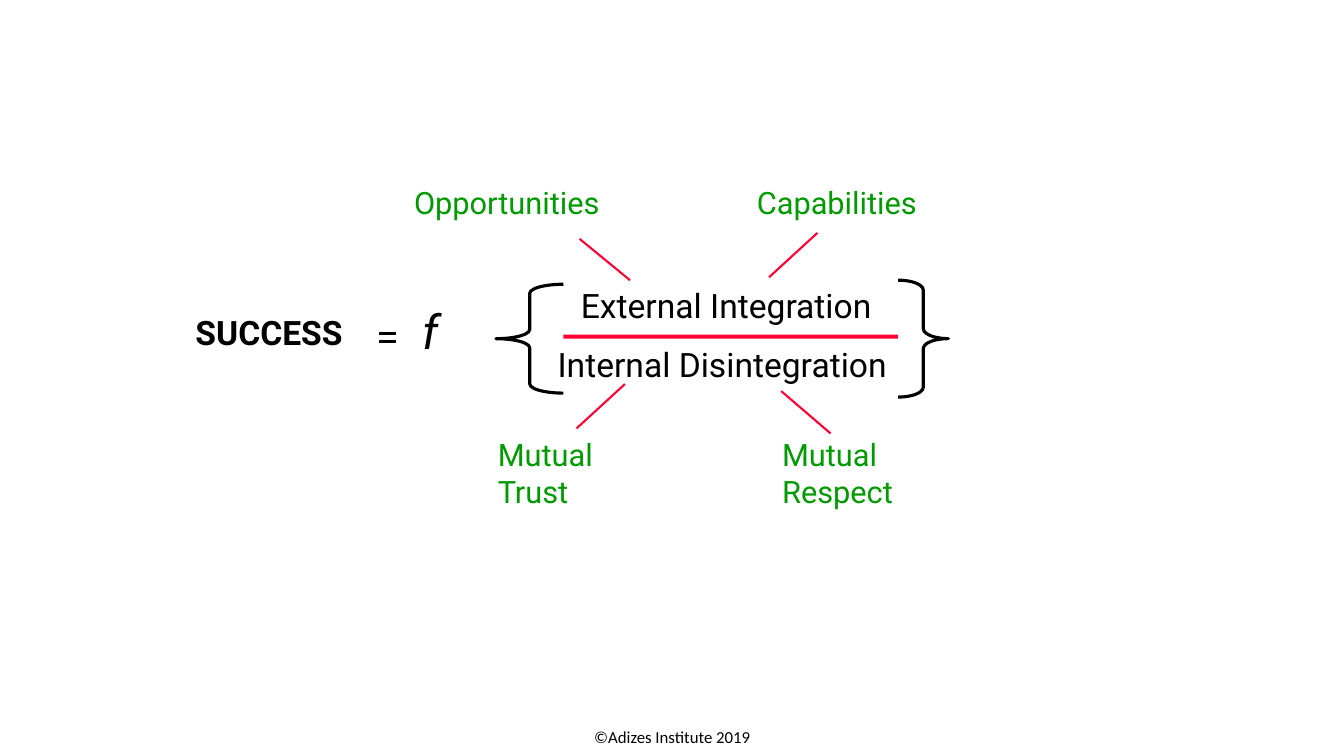
from dataclasses import dataclass

from lxml.etree import SubElement
from pptx import Presentation
from pptx.dml.color import RGBColor
from pptx.enum.shapes import MSO_CONNECTOR as Connector, MSO_SHAPE as Shape
from pptx.enum.text import MSO_ANCHOR as Anchor, PP_ALIGN as Align
from pptx.oxml.ns import qn
from pptx.util import Inches, Pt


@dataclass(frozen=True)
class Theme:
    black: RGBColor = RGBColor(0, 0, 0)
    red: RGBColor = RGBColor(0xFF, 0, 0x33)
    green: RGBColor = RGBColor(0, 0x99, 0)
    font: str = "Roboto"
    footer_font: str = "Calibri"
    footer_size: int = 12
    factor_size: int = 22
    term_size: int = 24
    function_size: int = 34
    symbol_line: float = 2.25
    pointer_line: float = 1.5


THEME = Theme()
WIDTH, HEIGHT = Inches(13.33), Inches(7.5)
COLUMNS, ROWS = 40, 30
LABEL_ROWS = 2.64


def column(count):
    return round(WIDTH * count / COLUMNS)


def row(count):
    return round(HEIGHT * count / ROWS)


def grid_box(left, top, width, height):
    return column(left), row(top), column(width), row(height)


def add_label(slide, text, box, size, color=THEME.black, align=Align.LEFT,
              anchor=Anchor.MIDDLE, margin=0.1, spacing=1.0, **font_format):
    frame = slide.shapes.add_textbox(*grid_box(*box)).text_frame
    frame_format = {
        "word_wrap": True, "vertical_anchor": anchor,
        "margin_left": Inches(margin), "margin_right": Inches(margin),
        "margin_top": Inches(margin / 2), "margin_bottom": Inches(margin / 2),
    }
    for name, value in frame_format.items():
        setattr(frame, name, value)
    paragraph = frame.paragraphs[0]
    paragraph.alignment, paragraph.line_spacing = align, spacing
    run = paragraph.add_run()
    run.text = text
    for name, value in ({"name": THEME.font, "size": Pt(size)} | font_format).items():
        setattr(run.font, name, value)
    run.font.color.rgb = color


def add_stroke(slide, start, end, color, weight):
    line = slide.shapes.add_connector(
        Connector.STRAIGHT, column(start[0]), row(start[1]), column(end[0]), row(end[1]))
    line.line.color.rgb, line.line.width = color, Pt(weight)
    SubElement(line._element.spPr, qn("a:effectLst"))


def add_brace(slide, kind, box, curl):
    brace = slide.shapes.add_shape(kind, *grid_box(*box))
    brace.shadow.inherit = False
    brace.fill.background()
    brace.line.color.rgb, brace.line.width = THEME.black, Pt(THEME.symbol_line)
    brace.adjustments[0] = curl


def add_fraction_bar(slide, box):
    bar = slide.shapes.add_shape(Shape.RECTANGLE, *grid_box(*box))
    bar.shadow.inherit = False
    bar.fill.solid()
    bar.fill.fore_color.rgb = THEME.red
    bar.line.fill.background()


def add_factor(slide, text, left, top, width, start, end):
    """Green label with the red pointer that ties it to the fraction."""
    add_label(slide, text, (left, top, width, LABEL_ROWS), THEME.factor_size, THEME.green)
    add_stroke(slide, start, end, THEME.red, THEME.pointer_line)


def main():
    presentation = Presentation()
    presentation.slide_width, presentation.slide_height = WIDTH, HEIGHT
    slide = presentation.slides.add_slide(presentation.slide_layouts[6])

    add_label(slide, "©Adizes Institute 2019", (13.35, 28.72, 13.32, 1.2),
              THEME.footer_size, align=Align.CENTER, anchor=Anchor.TOP,
              spacing=0.93, name=THEME.footer_font)

    add_label(slide, "SUCCESS", (5.82, 12.44, 5.22, 1.64), THEME.term_size,
              margin=0, spacing=0.93, bold=True)
    for level in (13.24, 13.56):
        add_stroke(slide, (11.28, level), (11.79, level), THEME.black, THEME.symbol_line)
    add_label(slide, "f", (12.27, 11.8, 1.74, 2.68), THEME.function_size,
              anchor=Anchor.TOP, italic=True)

    terms = (("External Integration", 16.02, 10.8, 11.19),
             ("Internal Disintegration", 16.26, 13.12, 10.47))
    for text, left, top, width in terms:
        add_label(slide, text, (left, top, width, LABEL_ROWS), THEME.term_size,
                  align=Align.CENTER)
    add_fraction_bar(slide, (16.77, 13.28, 9.96, 0.16))
    add_brace(slide, Shape.LEFT_BRACE, (14.76, 11.28, 2.01, 4.32), 0.135)
    add_brace(slide, Shape.RIGHT_BRACE, (26.73, 11.12, 1.5, 4.64), 0.195)

    above, below = 6.72, 17.44
    factors = (
        ("Opportunities", 12.03, above, 7.23, (17.25, 9.48), (18.75, 11.12)),
        ("Capabilities", 22.23, above, 7.23, (24.33, 9.24), (22.89, 11)),
        ("Mutual Trust", 14.52, below, 4.74, (18.6, 15.24), (17.16, 17)),
        ("Mutual Respect", 22.98, below, 6.48, (23.25, 15.52), (24.72, 17.2)),
    )
    for factor in factors:
        add_factor(slide, *factor)

    presentation.save("out.pptx")


if __name__ == "__main__":
    main()
